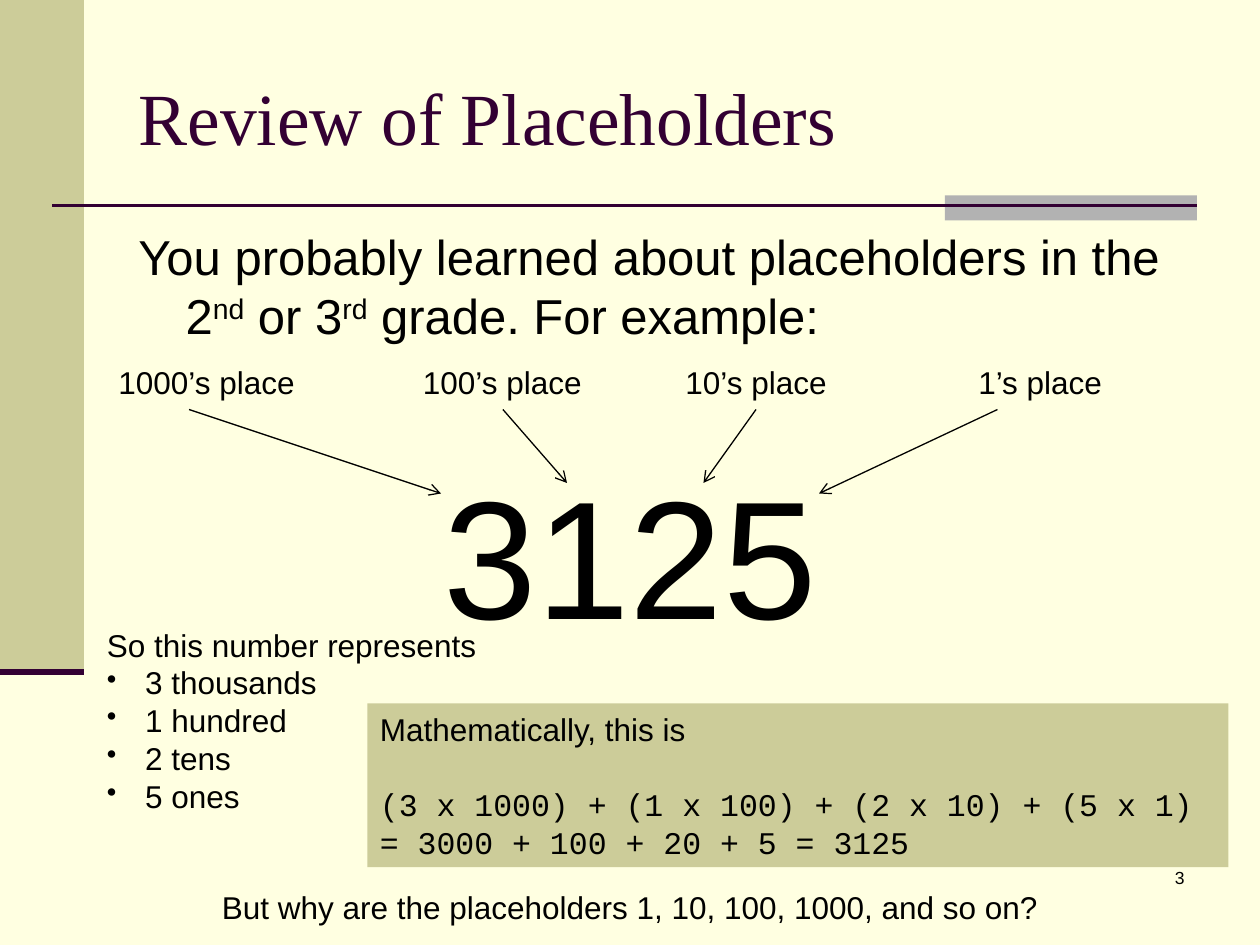
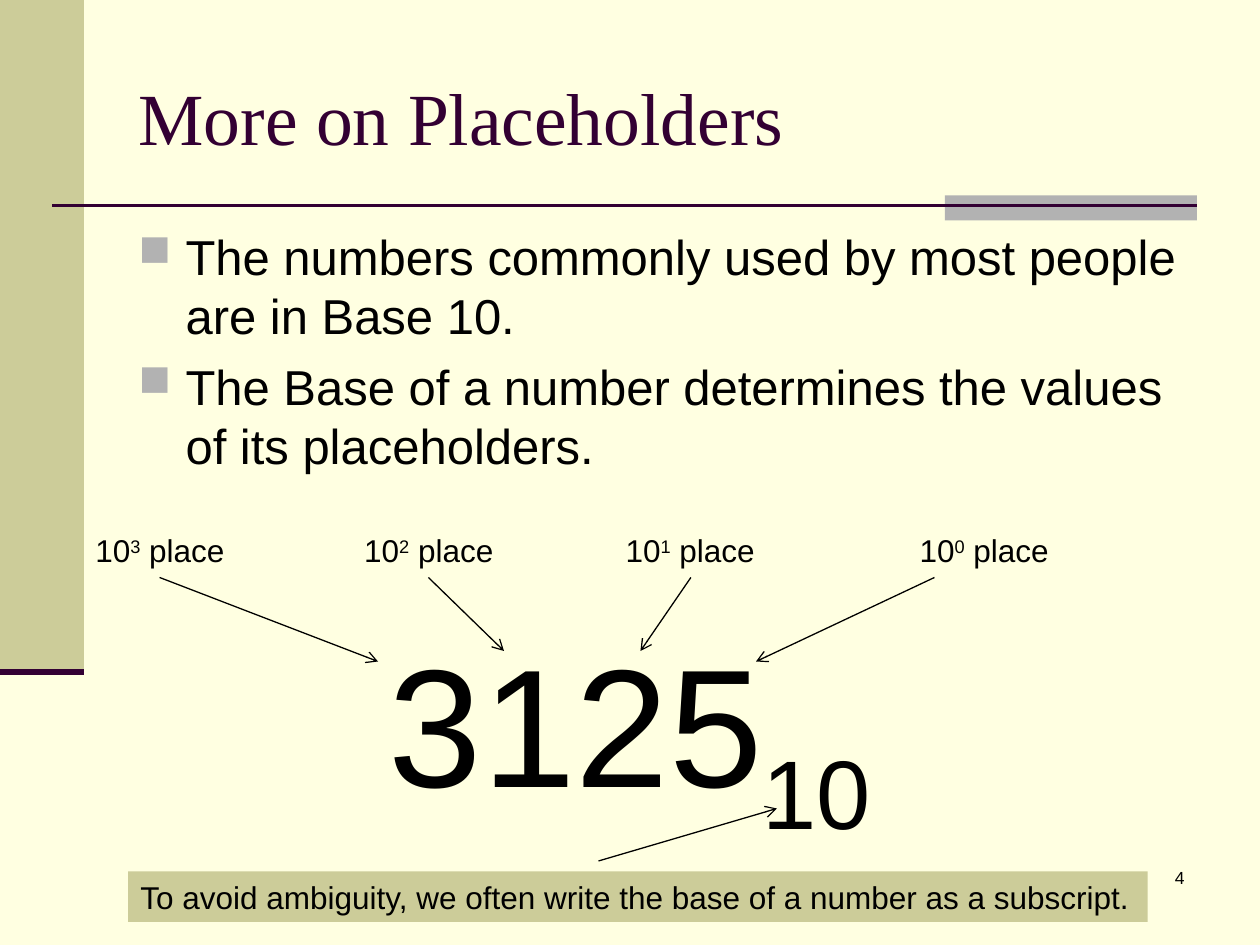
from lxml.etree import SubElement
from pptx import Presentation
from pptx.dml.color import RGBColor
from pptx.enum.shapes import MSO_CONNECTOR, MSO_SHAPE
from pptx.enum.text import MSO_ANCHOR, MSO_AUTO_SIZE, PP_ALIGN
from pptx.oxml.ns import qn
from pptx.util import Inches, Pt

CREAM = RGBColor(0xFF, 0xFF, 0xE1)
KHAKI = RGBColor(0xCC, 0xCC, 0x99)
GREY = RGBColor(0xB2, 0xB2, 0xB2)
PLUM = RGBColor(0x33, 0x00, 0x33)
BLACK = RGBColor(0, 0, 0)

SLIDE_W, SLIDE_H = Inches(10), Inches(7.5)
COLS, ROWS = 120, 90
LABEL_H, ARROW_DROP = 4.8, 5
HEAD_COLS = (42, 54, 67, 78)
HEAD_DROPS = (13, 12, 12, 13)


def col(n):
    return round(SLIDE_W * n / COLS)


def row(n):
    return round(SLIDE_H * n / ROWS)


def area(left, top, width, height):
    return col(left), row(top), col(width), row(height)


def add_bullet(p, char, color, indent):
    pPr = p._p.get_or_add_pPr()
    pPr.set("marL", str(col(indent)))
    pPr.set("indent", str(-col(indent)))
    if char:
        clr = SubElement(pPr, qn("a:buClr"))
        SubElement(clr, qn("a:srgbClr")).set("val", str(color))
        SubElement(pPr, qn("a:buSzPct")).set("val", "90000")
        SubElement(pPr, qn("a:buChar")).set("char", char)


def write(p, text, size=18, font="Arial", color=BLACK, align=PP_ALIGN.LEFT,
          before=0, line=None, bullet=None, shift=30):
    if bullet:
        add_bullet(p, *bullet)
    layout = {"alignment": align, "space_before": Pt(before),
              "line_spacing": Pt(line or size * 1.2)}
    for name, value in layout.items():
        setattr(p, name, value)
    for i, piece in enumerate(text.split("^")):
        if not piece:
            continue
        r = p.add_run()
        r.text = piece
        for name, value in {"size": Pt(size), "name": font}.items():
            setattr(r.font, name, value)
        r.font.color.rgb = color
        if i % 2:
            r.font._element.set("baseline", str(shift * 1000))


def fill_text(sp, paragraphs, wrap=True, anchor=MSO_ANCHOR.TOP):
    tf = sp.text_frame
    frame = {"word_wrap": wrap, "auto_size": MSO_AUTO_SIZE.NONE,
             "vertical_anchor": anchor}
    for name, value in frame.items():
        setattr(tf, name, value)
    for i, (text, fmt) in enumerate(paragraphs):
        p = tf.add_paragraph() if i else tf.paragraphs[0]
        write(p, text, **fmt)


def add_text(s, box, *paragraphs, wrap=True):
    fill_text(s.shapes.add_textbox(*area(*box)), paragraphs, wrap)


def add_panel(s, box, color, *paragraphs, wrap=True):
    sp = s.shapes.add_shape(MSO_SHAPE.RECTANGLE, *area(*box))
    sp.shadow.inherit = False
    sp.fill.solid()
    sp.fill.fore_color.rgb = color
    sp.line.fill.background()
    fill_text(sp, paragraphs, wrap)


def add_line(s, start, end, color=BLACK, width=0.75, arrow=False):
    cn = s.shapes.add_connector(MSO_CONNECTOR.STRAIGHT, col(start[0]), row(start[1]),
                                col(end[0]), row(end[1]))
    cn.line.color.rgb = color
    cn.line.width = Pt(width)
    if arrow:
        SubElement(cn.line._get_or_add_ln(), qn("a:tailEnd")).set("type", "arrow")
    SubElement(cn._element.spPr, qn("a:effectLst"))


def add_slide(prs, title, number):
    s = prs.slides.add_slide(prs.slide_layouts[5])
    s.background.fill.solid()
    s.background.fill.fore_color.rgb = CREAM
    add_panel(s, (0, 0, 8, 64), KHAKI)
    add_panel(s, (90, 18.6, 24, 2.4), GREY)
    add_line(s, (5, 19.6), (114, 19.6), PLUM, 1.5)
    add_line(s, (0, 64), (8, 64), PLUM, 3.5)
    sp = s.shapes.title
    sp.left, sp.top, sp.width, sp.height = area(12, 3.6, 102, 15)
    heading = {"size": 42, "font": "Times New Roman", "color": PLUM}
    fill_text(sp, [(title, heading)], anchor=MSO_ANCHOR.MIDDLE)
    add_text(s, (89, 82, 25, 6), (str(number), {"size": 10, "align": PP_ALIGN.RIGHT}))
    return s


def add_body(s, height, char, *texts):
    add_text(s, (12, 21, 102, height),
             *((text, {"size": 28, "before": 7 if i else 0, "bullet": (char, GREY, 4.5)})
               for i, text in enumerate(texts)))


def add_places(s, top, shift, places):
    for (label, left, width, tail), head, drop in zip(places, HEAD_COLS, HEAD_DROPS):
        add_text(s, (left, top, width, LABEL_H), (label, {}), wrap=False)
        add_line(s, (tail, top + ARROW_DROP), (head + shift, top + drop), arrow=True)


def add_number(s, top, height, text, line=None):
    add_text(s, (0, top, COLS, height),
             (text, {"size": 96, "align": PP_ALIGN.CENTER, "line": line, "shift": -25}))


def build_review(prs):
    s = add_slide(prs, "Review of Placeholders", 3)
    add_body(s, 15, None,
             "You probably learned about placeholders in the 2^nd^ or 3^rd^ grade. For example:")
    add_number(s, 42.4, 20.4, "3125")
    add_places(s, 34, 0, [
        ("1000’s place", 10.1, 19.2, 18),
        ("100’s place", 39.1, 17.5, 47.9),
        ("10’s place", 64.1, 15.8, 72),
        ("1’s place", 92, 14.2, 95)])
    dot = {"bullet": ("•", BLACK, 3.65)}
    add_text(s, (9, 59, 41, 19.2), ("So this number represents", {}),
             *((item, dot) for item in ("3 thousands", "1 hundred", "2 tens", "5 ones")))
    code = {"font": "Courier New"}
    add_panel(s, (35, 67, 82, 15.6), KHAKI,
              ("Mathematically, this is", {}),
              ("(3 x 1000) + (1 x 100) + (2 x 10) + (5 x 1)", {**code, "before": 21.6}),
              ("= 3000 + 100 + 20 + 5 = 3125", code))
    add_text(s, (0, 84, COLS, LABEL_H),
             ("But why are the placeholders 1, 10, 100, 1000, and so on?",
              {"align": PP_ALIGN.CENTER}))


def build_more(prs):
    s = add_slide(prs, "More on Placeholders", 4)
    add_body(s, 59.4, "■",
             "The numbers commonly used by most people are in Base 10.",
             "The Base of a number determines the values of its placeholders.")
    add_number(s, 58.4, 23, "3125^10^", line=131)
    spots = ((7.9, 15.2), (33.5, 40.8), (58.4, 65.8), (86.4, 89))
    add_places(s, 50, -6, [(f"10^{3 - i}^ place", left, 14.6, tail)
                           for i, (left, tail) in enumerate(spots)])
    add_panel(s, (12.2, 83, 97.1, LABEL_H), KHAKI,
              ("To avoid ambiguity, we often write the base of a number as a subscript.", {}),
              wrap=False)
    add_line(s, (57, 82), (74, 77), arrow=True)


def main():
    prs = Presentation()
    prs.slide_width, prs.slide_height = SLIDE_W, SLIDE_H
    build_review(prs)
    build_more(prs)
    prs.save("out.pptx")


if __name__ == "__main__":
    main()
